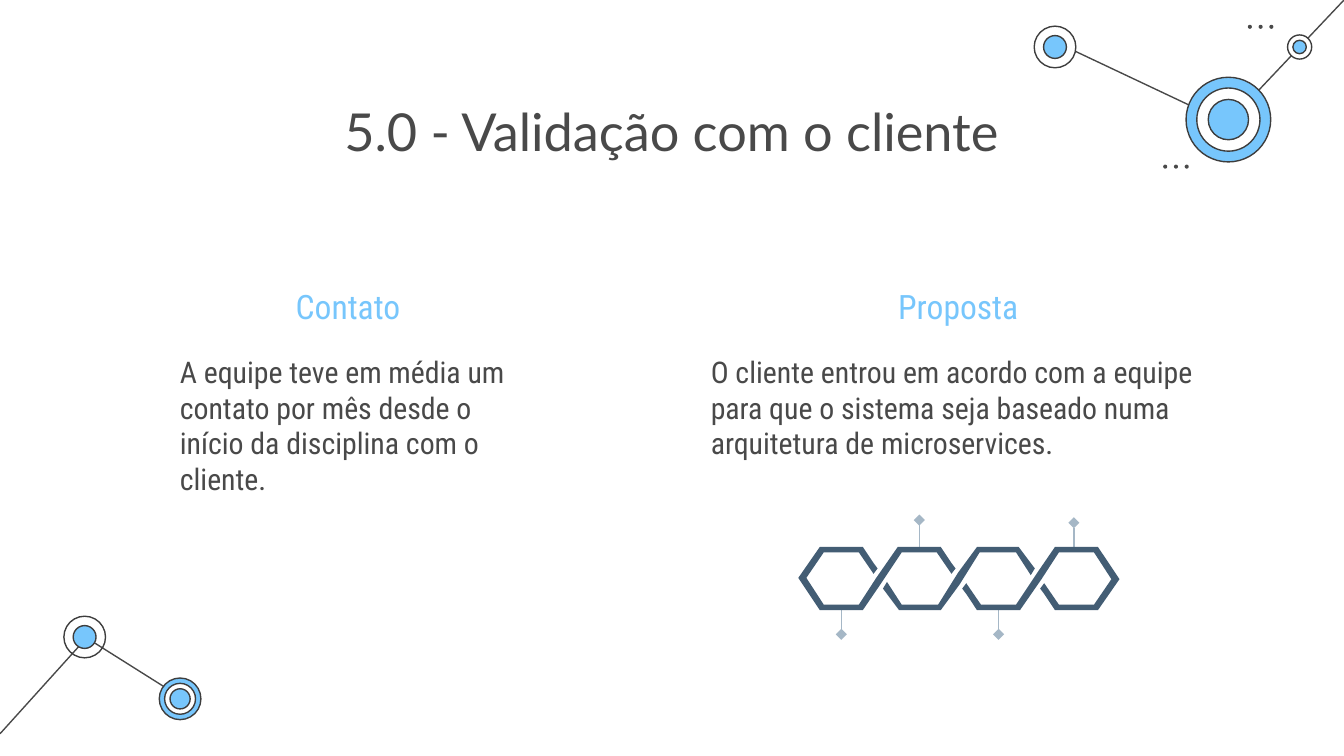
from lxml import etree
from pptx import Presentation
from pptx.dml.color import RGBColor
from pptx.enum import shapes, text
from pptx.oxml import ns
from pptx.util import Inches, Pt

COLORS = {
    "ink": "494949",
    "outline": "3D3D3D",
    "sky": "77C6FC",
    "white": "FFFFFF",
    "navy": "435D74",
    "pin": "A5B7C6",
}
HALF_LINK = [
    (0.16, 0), (0, 0.23), (0.16, 0.47), (0.48, 0.47), (0.61, 0.28), (0.77, 0.04),
    (1.03, 0.04), (1.14, 0.2), (1.17, 0.16), (1.14, 0.12), (1.06, 0), (0.74, 0),
    (0.58, 0.23), (0.45, 0.43), (0.19, 0.43), (0.06, 0.23), (0.19, 0.04),
    (0.45, 0.04), (0.56, 0.2), (0.59, 0.16), (0.56, 0.12), (0.48, 0),
]
HALF_MIDDLE = [
    (1.33, 0), (1.19, 0.19), (1.04, 0.43), (0.77, 0.43),
    (0.66, 0.26), (0.63, 0.31), (0.66, 0.35), (0.75, 0.47),
]


def color(name):
    return RGBColor.from_string(COLORS[name])


def add_text(slide, content, left, top, width, height, size=16,
             font="Roboto Condensed", ink="ink", align=text.PP_ALIGN.LEFT):
    shape = slide.shapes.add_textbox(
        Inches(left), Inches(top), Inches(width), Inches(height))
    frame = shape.text_frame
    frame.word_wrap = True
    frame.vertical_anchor = text.MSO_ANCHOR.TOP
    frame.margin_left = frame.margin_right = Inches(0.1)
    frame.margin_top = frame.margin_bottom = Inches(0.1)
    paragraph = frame.paragraphs[0]
    paragraph.alignment = align
    run = paragraph.add_run()
    run.text = content
    run.font.name = font
    run.font.size = Pt(size)
    run.font.color.rgb = color(ink)


def add_line(slide, start, end, ink="ink", tail=None):
    connector = slide.shapes.add_connector(
        shapes.MSO_CONNECTOR.STRAIGHT, *map(Inches, start + end))
    connector.line.color.rgb = color(ink)
    connector.line.width = Pt(0.75)
    if tail:
        line = connector.line._get_or_add_ln()
        etree.SubElement(line, ns.qn("a:tailEnd"), type=tail)
    etree.SubElement(connector._element.spPr, ns.qn("a:effectLst"))


def add_circle(slide, x, y, diameter, fill=None, outline=None):
    shape = slide.shapes.add_shape(
        shapes.MSO_SHAPE.OVAL, Inches(x - diameter / 2), Inches(y - diameter / 2),
        Inches(diameter), Inches(diameter))
    shape.shadow.inherit = False
    if fill:
        shape.fill.solid()
        shape.fill.fore_color.rgb = color(fill)
    else:
        shape.fill.background()
    if outline:
        shape.line.color.rgb = color(outline)
        shape.line.width = Pt(0.75)
    else:
        shape.line.fill.background()


def add_node(slide, x, y, rings):
    for diameter, fill in rings:
        add_circle(slide, x, y, diameter, fill, "outline")


def add_dots(slide, x, y):
    for index in range(3):
        add_circle(slide, x + index * 0.08, y, 0.03, "ink")


def add_bottom_corner(slide, left, top):
    hub = (left + 0.63, top + 0.16)
    satellite = (left + 1.34, top + 0.62)
    add_line(slide, (left + 0.65, top + 0.17), (left + 1.38, top + 0.63))
    add_line(slide, (left, top + 0.88), (left + 0.65, top + 0.16))
    add_node(slide, *hub, [(0.31, None), (0.17, "sky")])
    add_node(slide, *satellite, [(0.31, "sky"), (0.23, "white"), (0.15, "sky")])


def add_top_corner(slide, left, top):
    hub = (left + 1.45, top + 0.89)
    satellite = (left + 0.16, top + 0.35)
    add_line(slide, (left + 1.45, top + 0.92), (left + 0.18, top + 0.32))
    add_line(slide, (left + 2.31, top), (left + 1.45, top + 0.91))
    add_node(slide, *hub, [(0.63, "sky"), (0.47, "white"), (0.3, "sky")])
    add_node(slide, *satellite, [(0.31, "white"), (0.17, "sky")])
    add_node(slide, left + 1.98, top + 0.35, [(0.18, "white"), (0.1, "sky")])
    add_dots(slide, left + 1.61, top + 0.2)
    add_dots(slide, left + 0.98, top + 1.24)


def add_column(slide, left, top, width, heading, body, heading_left):
    add_text(slide, heading, heading_left, top, 2.04, 0.44, size=18,
             ink="sky", align=text.PP_ALIGN.CENTER)
    add_text(slide, body, left, top + 0.5, width, 1.12)


def add_outline(slide, left, top, points):
    corners = [(Inches(left + x), Inches(top + y)) for x, y in points]
    builder = slide.shapes.build_freeform(*corners[0])
    builder.add_line_segments(corners[1:], close=True)
    shape = builder.convert_to_shape()
    shape.shadow.inherit = False
    shape.fill.solid()
    shape.fill.fore_color.rgb = color("navy")
    shape.line.fill.background()


def add_chain(slide, left, top, width, height):
    def turned(points):
        return [(width - x, height - y) for x, y in points]

    for x, start, end in [(0.32, 0.44, 0.65), (1.49, 0.44, 0.65),
                          (2.05, 0.03, -0.18), (0.9, 0.02, -0.2)]:
        add_line(slide, (left + x, top + start), (left + x, top + end),
                 ink="pin", tail="diamond")
    for points in (HALF_LINK, turned(HALF_LINK), HALF_MIDDLE + turned(HALF_MIDDLE)):
        add_outline(slide, left, top, points)


def main():
    presentation = Presentation()
    presentation.slide_width = Inches(10)
    presentation.slide_height = Inches(10) * 9 // 16
    slide = presentation.slides.add_slide(presentation.slide_layouts[6])
    slide.background.fill.solid()
    slide.background.fill.fore_color.rgb = color("white")

    add_bottom_corner(slide, 0, 4.58)
    add_top_corner(slide, 7.69, 0)
    add_text(slide, "5.0 - Validação com o cliente", 2.41, 0.64, 5.17, 0.63,
             size=28, font="Lato", align=text.PP_ALIGN.CENTER)
    add_column(slide, 1.24, 2.03, 2.83, "Contato",
               "A equipe teve em média um contato por mês desde o início "
               "da disciplina com o cliente.", heading_left=1.57)
    add_column(slide, 5.19, 2.03, 3.88, "Proposta",
               "O cliente entrou em acordo com a equipe para que o sistema "
               "seja baseado numa arquitetura de microservices.", heading_left=6.11)
    add_chain(slide, 5.94, 4.07, 2.39, 0.47)
    presentation.save("out.pptx")


if __name__ == "__main__":
    main()
